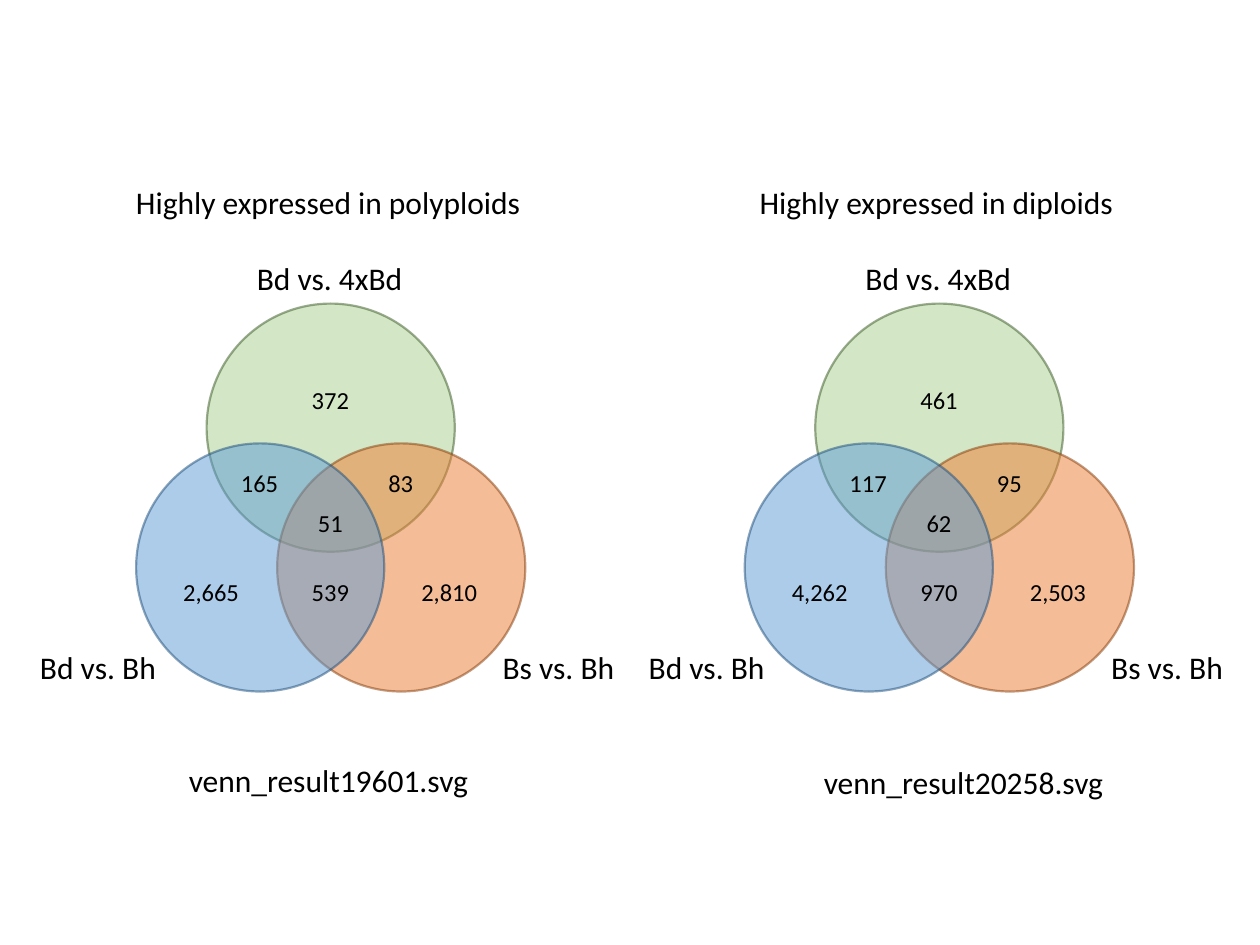
"""Build a slide with two three-set Venn diagrams."""
from pptx import Presentation
from pptx.dml.color import RGBColor
from pptx.enum import shapes, text
from pptx.oxml import parse_xml
from pptx.oxml.ns import nsdecls
from pptx.util import Pt

rgb = RGBColor.from_string


def fade(fill):
    """Make a solid fill half transparent."""
    color = fill._xPr.find(".//{*}srgbClr")
    color.append(parse_xml(f'<a:alpha {nsdecls("a")} val="50000"/>'))


def label(home, words, x, y, w, size=18):
    """Add a line of text; small counts are centred."""
    small = size == 14
    box = home.add_textbox(Pt(x), Pt(y), Pt(w), Pt(24.5 if small else 29))
    frame = box.text_frame
    frame.text = words
    frame.word_wrap = small
    frame.auto_size = text.MSO_AUTO_SIZE.SHAPE_TO_FIT_TEXT
    para = frame.paragraphs[0]
    para.alignment = text.PP_ALIGN.CENTER if small else text.PP_ALIGN.LEFT
    font = para.runs[0].font
    font.name, font.size = "Calibri", Pt(size)
    font.color.rgb = rgb("000000")


deck = Presentation()
deck.slide_width, deck.slide_height = Pt(720), Pt(540)
slide = deck.slides.add_slide(deck.slide_layouts[6])

size = 141.8
rings = [
    (118.1, 173.5, "A9D18E", "385723"),
    (158.4, 253.4, "ED7D31", "843C0B"),
    (77.8, 253.4, "5B9BD5", "1F4E79"),
]
spots = [
    (188.8, 286.6),
    (188.8, 326.2),
    (188.8, 216.7),
    (256.7, 326.2),
    (120.6, 326.2),
    (148.3, 264.2),
    (229, 264.2),
]
names = [
    ("Bd vs. 4xBd", 139.7, 144.7, 98.6),
    ("Bd vs. Bh", 15.8, 366.5, 81.4),
    ("Bs vs. Bh", 280.1, 366.5, 79.2),
]
venns = [
    (0, ["51", "539", "372", "2,810", "2,665", "165", "83"],
     [28.8, 36, 36, 46.8, 46.8, 36, 28.8]),
    (347.8, ["62", "970", "461", "2,503", "4,262", "117", "95"],
     [28.8, 46.8, 36, 46.8, 46.8, 36, 36]),
]

for shift, counts, widths in venns:
    group = slide.shapes.add_group_shape().shapes
    for x, y, fill, edge in rings:
        ring = group.add_shape(
            shapes.MSO_SHAPE.OVAL, Pt(x + shift), Pt(y), Pt(size), Pt(size))
        ring.shadow.inherit = False
        ring.fill.solid()
        ring.fill.fore_color.rgb = rgb(fill)
        ring.line.width = Pt(1.25)
        ring.line.color.rgb = rgb(edge)
        fade(ring.fill)
        fade(ring.line.fill)
    for count, (mid, y), w in zip(counts, spots, widths):
        label(group, count, mid + shift - w / 2, y, w, 14)
    for name, x, y, w in names:
        label(group, name, x + shift, y, w)

for words, x, y, w in [
    ("Highly expressed in polyploids", 70.6, 100.8, 236.9),
    ("Highly expressed in diploids", 427, 100.8, 218.9),
    ("venn_result19601.svg", 100.8, 431.3, 175.7),
    ("venn_result20258.svg", 463.7, 432.7, 175.7),
]:
    label(slide.shapes, words, x, y, w)

deck.save("out.pptx")
